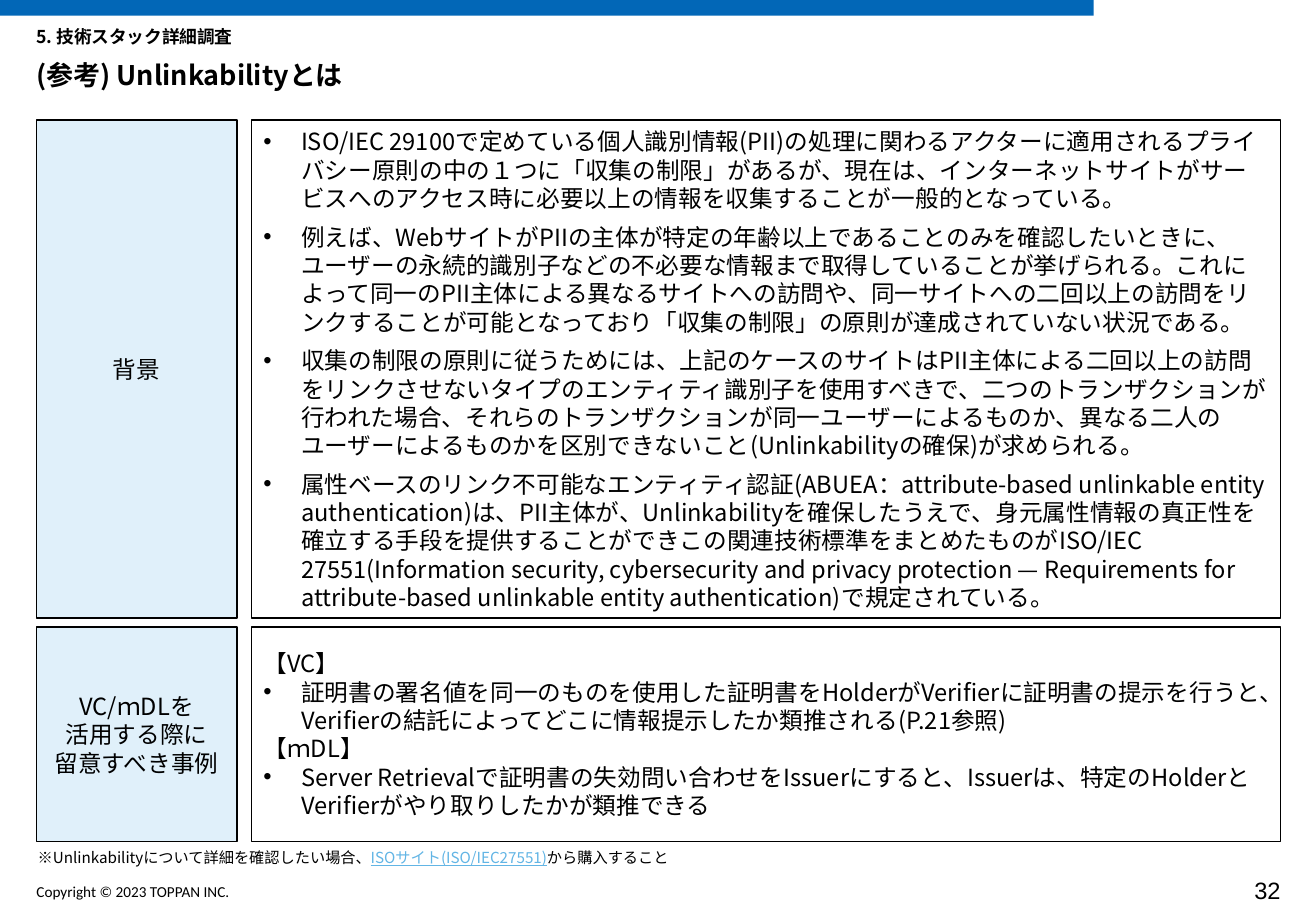
from pptx import Presentation
from pptx.dml.color import RGBColor
from pptx.enum.shapes import MSO_SHAPE as Shape
from pptx.enum.text import MSO_ANCHOR as Anchor, PP_ALIGN as Align
from pptx.oxml.ns import qn
from pptx.util import Inches, Pt
from lxml.etree import SubElement

BLACK = RGBColor(0, 0, 0)
BLUE = RGBColor(0x02, 0x67, 0xB7)
PALE = RGBColor(0xE0, 0xF0, 0xFA)
LINK = RGBColor(0x62, 0xB5, 0xE5)
SANS = "Noto Sans CJK JP"

# Columns and rows as (start, size), in percent of the slide
LABEL, BODY = (2.77, 15.24), (19.11, 78.21)
HEAD = (2.77, 79.22)
ROWS = [(13.2, 54.67), (68.8, 23.6)]


class Page:
    def __init__(self, wide, high):
        self.deck = Presentation()
        self.deck.slide_width = Inches(wide)
        self.deck.slide_height = Inches(high)
        self.slide = self.deck.slides.add_slide(self.deck.slide_layouts[6])

    def area(self, col, row):
        wide, high = self.deck.slide_width, self.deck.slide_height
        return [int(side * part / 100) for side, part in
                ((wide, col[0]), (high, row[0]), (wide, col[1]), (high, row[1]))]

    def style(self, para, size, font=SANS, bold=False, color=BLACK):
        para.font.size, para.font.bold = Pt(size), bold
        para.font.name = font
        if color:
            para.font.color.rgb = color
        props = para._p.pPr.find(qn("a:defRPr"))
        SubElement(props, qn("a:ea")).set("typeface", font)

    def bullet(self, para):
        props = para._p.get_or_add_pPr()
        props.set("marL", str(Inches(0.31)))
        props.set("indent", str(-Inches(0.31)))
        SubElement(props, qn("a:buFont")).set("typeface", "Arial")
        SubElement(props, qn("a:buChar")).set("char", "•")

    def bar(self, col, row, fill=None, line=None):
        rect = self.slide.shapes.add_shape(Shape.RECTANGLE, *self.area(col, row))
        rect.shadow.inherit = False
        if fill:
            rect.fill.solid()
            rect.fill.fore_color.rgb = fill
        else:
            rect.fill.background()
        if line:
            rect.line.color.rgb = line
            rect.line.width = Pt(1)
        else:
            rect.line.fill.background()
        return rect

    def panel(self, col, row, lines, fill=None, align=Align.LEFT, gap=0, wrap=True):
        """A line that starts with • becomes a bullet."""
        frame = self.bar(col, row, fill, BLACK).text_frame
        frame.word_wrap = wrap
        frame.vertical_anchor = Anchor.MIDDLE
        for i, line in enumerate(lines):
            para = frame.add_paragraph() if i else frame.paragraphs[0]
            para.alignment = align
            if i and gap:
                para.space_before = Pt(gap)
            if line.startswith("•"):
                self.bullet(para)
            para.text = line.lstrip("•")
            self.style(para, 14)

    def text(self, col, row, runs, size, font=SANS, bold=False,
             align=Align.LEFT, wrap=True):
        """Runs are one string, or pairs of text and link flag."""
        frame = self.slide.shapes.add_textbox(*self.area(col, row)).text_frame
        frame.word_wrap = wrap
        frame.margin_left = frame.margin_right = 0
        frame.margin_top = frame.margin_bottom = 0
        para = frame.paragraphs[0]
        para.alignment = align
        if isinstance(runs, str):
            para.text = runs
            self.style(para, size, font, bold)
            return
        for words, link in runs:
            run = para.add_run()
            run.text = words
            run.font.color.rgb = LINK if link else BLACK
            run.font.underline = link
        self.style(para, size, font, bold, None)


page = Page(10.83, 7.5)

# Header
page.bar((0, 83.1), (0, 1.73), BLUE)
page.text(HEAD, (2.8, 2.4), "5. 技術スタック詳細調査", 10.5, bold=True)
page.text(HEAD, (6.4, 3.6), "(参考) Unlinkabilityとは", 16, bold=True)

# Row labels
labels = [["背景"], ["VC/ｍDLを", "活用する際に", "留意すべき事例"]]
for row, lines in zip(ROWS, labels):
    page.panel(LABEL, row, lines, PALE, Align.CENTER, wrap=False)

# Background
page.panel(BODY, ROWS[0], [
    "•ISO/IEC 29100で定めている個人識別情報(PII)の処理に関わるアクターに適用される"
    "プライバシー原則の中の１つに「収集の制限」があるが、現在は、インターネットサイトが"
    "サービスへのアクセス時に必要以上の情報を収集することが一般的となっている。",
    "•例えば、WebサイトがPIIの主体が特定の年齢以上であることのみを確認したいときに、"
    "ユーザーの永続的識別子などの不必要な情報まで取得していることが挙げられる。"
    "これによって同一のPII主体による異なるサイトへの訪問や、同一サイトへの二回以上の訪問を"
    "リンクすることが可能となっており「収集の制限」の原則が達成されていない状況である。",
    "•収集の制限の原則に従うためには、上記のケースのサイトはPII主体による二回以上の訪問を"
    "リンクさせないタイプのエンティティ識別子を使用すべきで、二つのトランザクションが"
    "行われた場合、それらのトランザクションが同一ユーザーによるものか、異なる二人の"
    "ユーザーによるものかを区別できないこと(Unlinkabilityの確保)が求められる。",
    "•属性ベースのリンク不可能なエンティティ認証(ABUEA：attribute-based unlinkable "
    "entity authentication)は、PII主体が、Unlinkabilityを確保したうえで、身元属性情報の"
    "真正性を確立する手段を提供することができこの関連技術標準をまとめたものがISO/IEC "
    "27551(Information security, cybersecurity and privacy protection — Requirements for "
    "attribute-based unlinkable entity authentication)で規定されている。",
], gap=6)

# Cases to note
page.panel(BODY, ROWS[1], [
    "【VC】",
    "•証明書の署名値を同一のものを使用した証明書をHolderがVerifierに証明書の提示を行うと、"
    "Verifierの結託によってどこに情報提示したか類推される(P.21参照)",
    "【ｍDL】",
    "•Server Retrievalで証明書の失効問い合わせをIssuerにすると、Issuerは、"
    "特定のHolderとVerifierがやり取りしたかが類推できる",
])

# Note and footer
page.text((2.86, 85.23), (93.07, 2), [
    ("※Unlinkabilityについて詳細を確認したい場合、", False),
    ("ISOサイト(ISO/IEC27551)", True),
    ("から購入すること", False),
], 9)
page.text((2.77, 14.87), (96.8, 2), "Copyright © 2023 TOPPAN INC.", 9,
          "Calibri", wrap=False)
page.text((95.11, 2.21), (96.13, 3.2), "32", 14, "Arial",
          align=Align.RIGHT, wrap=False)

page.deck.save("out.pptx")
